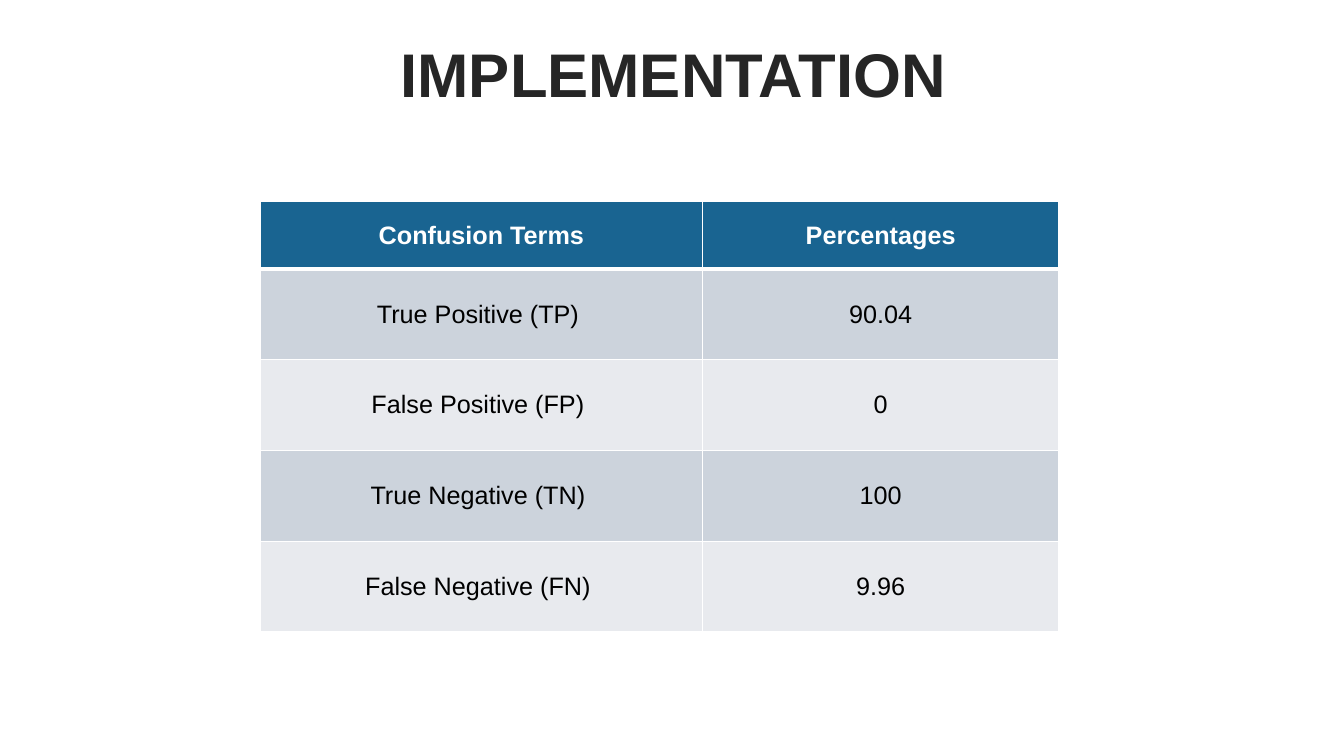
from dataclasses import dataclass

from lxml import etree
from pptx import Presentation
from pptx import util as u
from pptx.dml.color import RGBColor
from pptx.enum import text
from pptx.oxml import ns


@dataclass(frozen=True)
class Theme:
    font: str = "Arial"
    title: str = "262626"
    header: str = "196491"
    bands: tuple = ("CCD3DC", "E8EAEE")
    white: str = "FFFFFF"
    body: str = "000000"
    title_size: int = 44
    table_size: int = 18
    rule: int = 1
    header_rule: int = 3


class SlideBuilder:
    def __init__(self, slide, theme):
        self.slide = slide
        self.theme = theme

    def style(self, p, size, color, bold):
        p.alignment = text.PP_ALIGN.CENTER
        for r in p.runs:
            r.font.name = self.theme.font
            r.font.size = u.Pt(size)
            r.font.bold = bold
            r.font.color.rgb = RGBColor.from_string(color)

    def title(self, wording, left, top, width, height):
        sp = self.slide.shapes.add_textbox(*map(u.Inches, (left, top, width, height)))
        tf = sp.text_frame
        tf.word_wrap = True
        tf.vertical_anchor = text.MSO_ANCHOR.MIDDLE
        tf.text = wording
        p = tf.paragraphs[0]
        p.line_spacing = 0.9
        self.style(p, self.theme.title_size, self.theme.title, True)

    def borders(self, cell, widths):
        tc_pr = cell._tc.get_or_add_tcPr()
        for i, (side, width) in enumerate(widths.items()):
            ln = etree.Element(ns.qn(f"a:ln{side}"), w=str(u.Pt(width)))
            fill = etree.SubElement(ln, ns.qn("a:solidFill"))
            etree.SubElement(fill, ns.qn("a:srgbClr"), val=self.theme.white)
            tc_pr.insert(i, ln)

    def cell(self, cell, wording, row):
        th = self.theme
        is_header = row == 0
        cell.text = wording
        cell.vertical_anchor = text.MSO_ANCHOR.MIDDLE
        cell.margin_left = cell.margin_right = u.Inches(0.1)
        cell.margin_top = cell.margin_bottom = u.Inches(0.1)
        cell.fill.solid()
        fill = th.header if is_header else th.bands[(row - 1) % 2]
        cell.fill.fore_color.rgb = RGBColor.from_string(fill)
        color = th.white if is_header else th.body
        self.style(cell.text_frame.paragraphs[0], th.table_size, color, is_header)
        self.borders(cell, {
            "L": th.rule,
            "R": th.rule,
            "T": th.header_rule if row == 1 else th.rule,
            "B": th.header_rule if is_header else th.rule,
        })

    def table(self, rows, left, top, col_widths, row_heights):
        box = (left, top, sum(col_widths), sum(row_heights))
        frame = self.slide.shapes.add_table(
            len(rows), len(col_widths), *map(u.Inches, box))
        table = frame.table
        for column, width in zip(table.columns, col_widths):
            column.width = u.Inches(width)
        for i, (values, height) in enumerate(zip(rows, row_heights)):
            table.rows[i].height = u.Inches(height)
            for j, wording in enumerate(values):
                self.cell(table.cell(i, j), wording, i)


def main():
    prs = Presentation()
    prs.slide_width = u.Inches(13.33)
    prs.slide_height = u.Inches(7.5)
    builder = SlideBuilder(prs.slides.add_slide(prs.slide_layouts[6]), Theme())
    builder.title("IMPLEMENTATION", 0.35, 0.37, 12.66, 0.79)
    confusion_rows = [
        ("Confusion Terms", "Percentages"),
        ("True Positive (TP) ", "90.04"),
        ("False Positive (FP) ", "0"),
        ("True Negative (TN) ", "100"),
        ("False Negative (FN) ", "9.96"),
    ]
    builder.table(confusion_rows, 2.58, 2, (4.39, 3.53), [0.67] + [0.9] * 4)
    prs.save("out.pptx")


if __name__ == "__main__":
    main()
